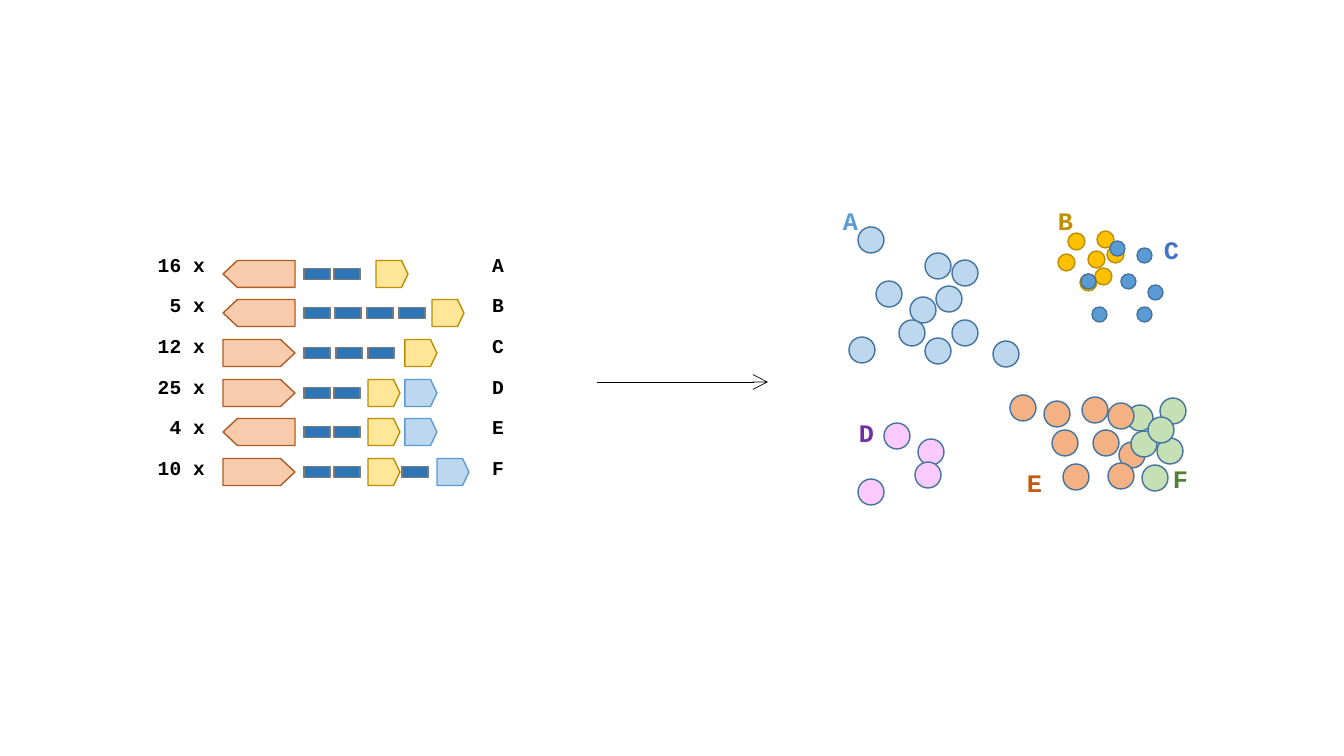
from lxml import etree
from pptx import Presentation
from pptx import util as u
from pptx.dml.color import RGBColor
from pptx.enum import shapes, text
from pptx.oxml import ns

SCALE = 914400 / 100.8  # EMU per pixel
FONT = "Courier New"
COLORS = {
    "black": "000000",
    "gene": "F8CBAD", "gene_line": "AF5C24",
    "yellow": "FFE699", "yellow_line": "BD8E00",
    "blue": "BDD7EE", "blue_line": "5B9BD5",
    "bar": "2E75B6", "bar_line": "7A7A7A",
    "dot_line": "43739E",
    "dot_A": "BDD7EE", "dot_B": "FFC000", "dot_C": "5B9BD5",
    "dot_D": "FACAFD", "dot_E": "F4B183", "dot_F": "C5E0B4",
    "label_A": "5B9BD5", "label_B": "BF9000", "label_C": "4472C4",
    "label_D": "7030A0", "label_E": "C55A11", "label_F": "548235",
}

# Construct: name, copies, gene rotation, bar lefts, yellow left, blue left
LEFT, RIGHT = 90, 270
CONSTRUCTS = [
    ("A", 16, LEFT, [304, 334], 376, None),
    ("B", 5, LEFT, [304, 335, 367, 399], 432, None),
    ("C", 12, RIGHT, [304, 336, 368], 405, None),
    ("D", 25, RIGHT, [304, 334], 368, 405),
    ("E", 4, LEFT, [304, 334], 368, 405),
    ("F", 10, RIGHT, [304, 334, 402], 368, 437),
]
ROW_CENTER, ROW_STEP = 273.7, 39.7

# Cluster: name, dot diameter, line colour, dot corners (back to front)
CLUSTERS = [
    ("B", 17, "yellow_line", [(1068, 233), (1097, 231), (1088, 251), (1058, 254),
                              (1080, 274), (1095, 268), (1107, 246)]),
    ("C", 15, "dot_line", [(1081, 274), (1110, 241), (1121, 274), (1092, 307),
                           (1137, 307), (1148, 285), (1137, 248)]),
    ("E", 26, "dot_line", [(1119, 442)]),
    ("F", 26, "dot_line", [(1127, 405), (1131, 431), (1160, 398), (1142, 465),
                           (1157, 438), (1148, 417)]),
    ("E", 26, "dot_line", [(1052, 430), (1082, 397), (1093, 430), (1063, 464),
                           (1108, 463), (1108, 403), (1010, 395), (1044, 401)]),
    ("A", 26, "dot_line", [(910, 297), (925, 253), (936, 286), (899, 320),
                           (952, 320), (952, 260), (993, 341), (925, 338),
                           (858, 227), (876, 281), (849, 337)]),
    ("D", 26, "dot_line", [(918, 439), (915, 462), (884, 423), (858, 479)]),
]
CLUSTER_LABELS = {"A": (833, 200), "B": (1048, 200), "C": (1154, 229),
                  "D": (849, 412), "E": (1017, 462), "F": (1163, 458)}


def px(*lengths):
    return [u.Emu(round(length * SCALE)) for length in lengths]


def color(name):
    return RGBColor.from_string(COLORS[name])


def set_font(paragraph, size, name):
    font = paragraph.font
    font.name, font.size, font.bold = FONT, u.Pt(size), True
    font.color.rgb = color(name)


def add_block(slide, kind, left, top, width, height, fill, line):
    block = slide.shapes.add_shape(kind, *px(left, top, width, height))
    block.shadow.inherit = False
    block.fill.solid()
    block.fill.fore_color.rgb = color(fill)
    block.line.color.rgb = color(line)
    block.line.width = u.Pt(1)
    return block


def add_pentagon(slide, left, middle, length, fill, rotation=RIGHT):
    """Off-page connector turned on its side; left and length are as seen."""
    height = 27
    pentagon = add_block(slide, shapes.MSO_SHAPE.FLOWCHART_OFFPAGE_CONNECTOR,
                         left + (length - height) / 2, middle - length / 2,
                         height, length, fill, fill + "_line")
    pentagon.rotation = rotation


def add_construct(slide, middle, rotation, bars, yellow, blue):
    add_pentagon(slide, 223, middle, 72, "gene", rotation)
    add_pentagon(slide, yellow, middle, 32, "yellow")
    if blue:
        add_pentagon(slide, blue, middle, 32, "blue")
    for left in bars:
        add_block(slide, shapes.MSO_SHAPE.RECTANGLE, left, middle - 5.5, 26, 11,
                  "bar", "bar_line")


def add_column(slide, left, entries, align):
    table = slide.shapes.add_table(len(entries), 1, *px(left, 251, 72, 244)).table
    table.first_row = table.horz_banding = False
    for row, entry in enumerate(entries):
        cell = table.cell(row, 0)
        cell.fill.background()
        cell.text = entry
        paragraph = cell.text_frame.paragraphs[0]
        paragraph.alignment = align
        set_font(paragraph, 14, "black")


def add_arrow(slide, start, end, y):
    arrow = slide.shapes.add_connector(shapes.MSO_CONNECTOR.STRAIGHT,
                                       *px(start, y, end, y))
    arrow.line.color.rgb = color("black")
    arrow.line.width = u.Pt(0.5)
    etree.SubElement(arrow.line._get_or_add_ln(), ns.qn("a:tailEnd"),
                     type="arrow", w="lg", len="lg")
    etree.SubElement(arrow._element.spPr, ns.qn("a:effectLst"))


def add_label(slide, name, left, top):
    frame = slide.shapes.add_textbox(*px(left, top, 35, 40)).text_frame
    frame.word_wrap = False
    frame.auto_size = text.MSO_AUTO_SIZE.SHAPE_TO_FIT_TEXT
    frame.text = name
    set_font(frame.paragraphs[0], 18, "label_" + name)


def main():
    deck = Presentation()
    deck.slide_width, deck.slide_height = px(1344, 756)
    slide = deck.slides.add_slide(deck.slide_layouts[6])

    add_arrow(slide, 597, 768, 382)

    # Constructs with their copy numbers and names
    for row, (_, _, *parts) in enumerate(CONSTRUCTS):
        add_construct(slide, round(ROW_CENTER + row * ROW_STEP), *parts)
    copies = [f"{construct[1]} x" for construct in CONSTRUCTS]
    names = [construct[0] for construct in CONSTRUCTS]
    add_column(slide, 143, copies, text.PP_ALIGN.RIGHT)
    add_column(slide, 482, names, text.PP_ALIGN.LEFT)

    # Clusters
    for name, diameter, line, corners in CLUSTERS:
        for left, top in corners:
            add_block(slide, shapes.MSO_SHAPE.OVAL, left, top, diameter, diameter,
                      "dot_" + name, line)
    for name, corner in CLUSTER_LABELS.items():
        add_label(slide, name, *corner)

    deck.save("out.pptx")


main()
